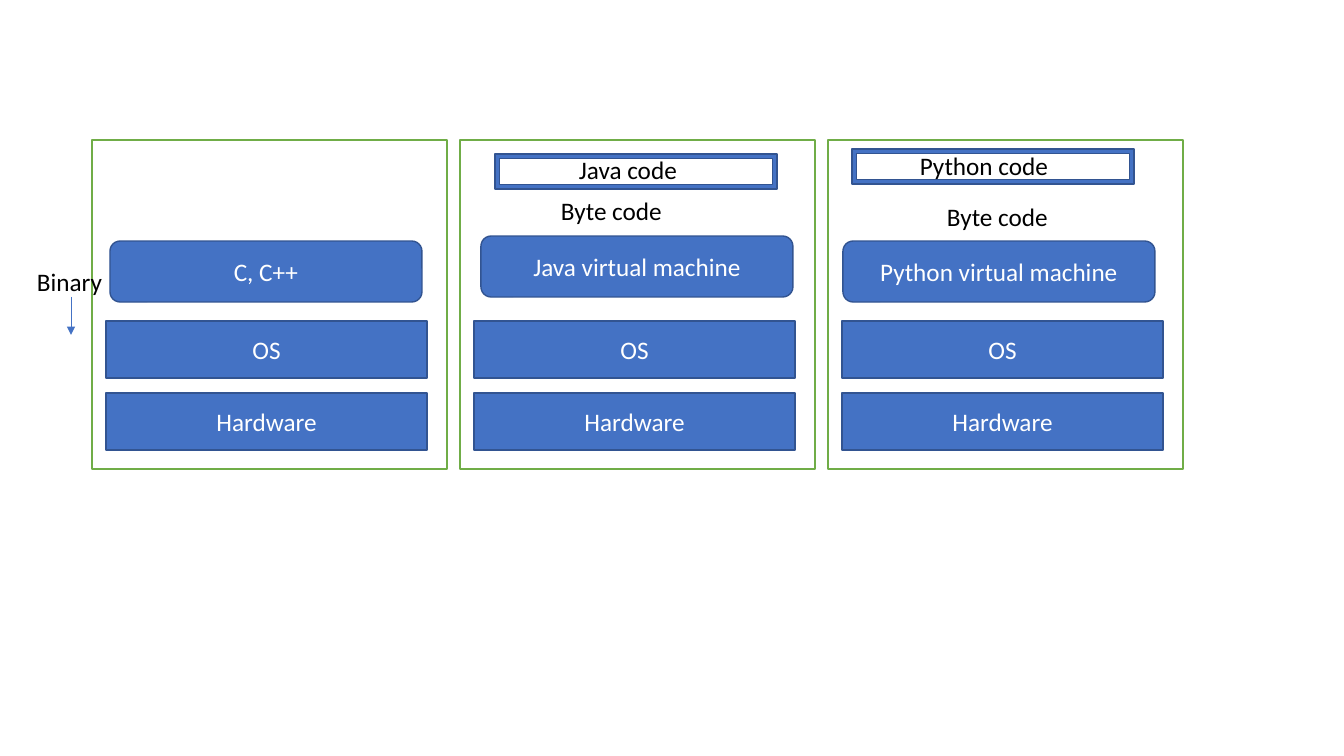
"""Build a slide comparing how C, Java and Python code reach the hardware."""
from lxml import etree
from pptx import Presentation
from pptx.dml.color import RGBColor
from pptx.enum.shapes import MSO_CONNECTOR as Link, MSO_SHAPE as Shape
from pptx.enum.text import MSO_ANCHOR as Anchor, PP_ALIGN as Align
from pptx.oxml.ns import qn
from pptx.util import Emu, Pt

BLUE, EDGE, GREEN = "4472C4", "325491", "70AD47"
WHITE, BLACK = "FFFFFF", "000000"

LEFT, STEP, TOP, WIDE, HIGH = 92, 368, 140, 355, 329
INSET, BAR_W, BAR_H = 14, 321, 57
BARS = [("OS", 321), ("Hardware", 393)]
RUNNERS = [
    ("C, C++", 110, 241),
    ("Java virtual machine", 481, 236),
    ("Python virtual machine", 843, 241),
]
FRAMES = [(495, 154), (852, 149)]
LABELS = [
    ("Binary", 27, 261, 86, 40, False),
    ("Byte code", 551, 190, 146, 72, True),
    ("Byte code", 937, 196, 122, 40, False),
    ("Java code", 569, 149, 135, 40, True),
    ("Python code", 910, 145, 150, 40, False),
]
ARROW = (71, 297, 71, 335)


def px(*nums):
    return [Emu(round(n * 914400 / 100.8)) for n in nums]


def color(code):
    return RGBColor.from_string(code)


def write(frame, text, shade, align):
    frame.text = text
    para = frame.paragraphs[0]
    para.alignment = align
    para.font.name, para.font.size = "Calibri", Pt(18)
    para.font.color.rgb = color(shade)


def box(kind, place, fill, line, text=""):
    shape = slide.shapes.add_shape(kind, *px(*place))
    shape.shadow.inherit = False
    shape.fill.solid()
    shape.fill.fore_color.rgb = color(fill)
    shape.line.color.rgb = color(line)
    shape.line.width = Pt(1)
    if text:
        shape.text_frame.vertical_anchor = Anchor.MIDDLE
        write(shape.text_frame, text, WHITE, Align.CENTER)


def label(text, x, y, w, h, wrap):
    frame = slide.shapes.add_textbox(*px(x, y, w, h)).text_frame
    frame.word_wrap = wrap
    write(frame, text, BLACK, Align.LEFT)


def arrow(ends):
    link = slide.shapes.add_connector(Link.STRAIGHT, *px(*ends))
    link.line.color.rgb = color(BLUE)
    link.line.width = Pt(0.5)
    props = link._element.spPr
    etree.SubElement(props.find(qn("a:ln")), qn("a:tailEnd"), type="triangle")
    etree.SubElement(props, qn("a:effectLst"))


deck = Presentation()
deck.slide_width, deck.slide_height = px(1344, 756)
slide = deck.slides.add_slide(deck.slide_layouts[6])

for i in range(len(RUNNERS)):
    x = LEFT + i * STEP
    box(Shape.RECTANGLE, (x, TOP, WIDE, HIGH), WHITE, GREEN)
    for text, y in BARS:
        box(Shape.RECTANGLE, (x + INSET, y, BAR_W, BAR_H), BLUE, EDGE, text)
for text, x, y in RUNNERS:
    box(Shape.ROUNDED_RECTANGLE, (x, y, 312, 61), BLUE, EDGE, text)
for x, y in FRAMES:
    box(Shape.FRAME, (x, y, 282, 35), BLUE, EDGE)
for item in LABELS:
    label(*item)
arrow(ARROW)

deck.save("out.pptx")
